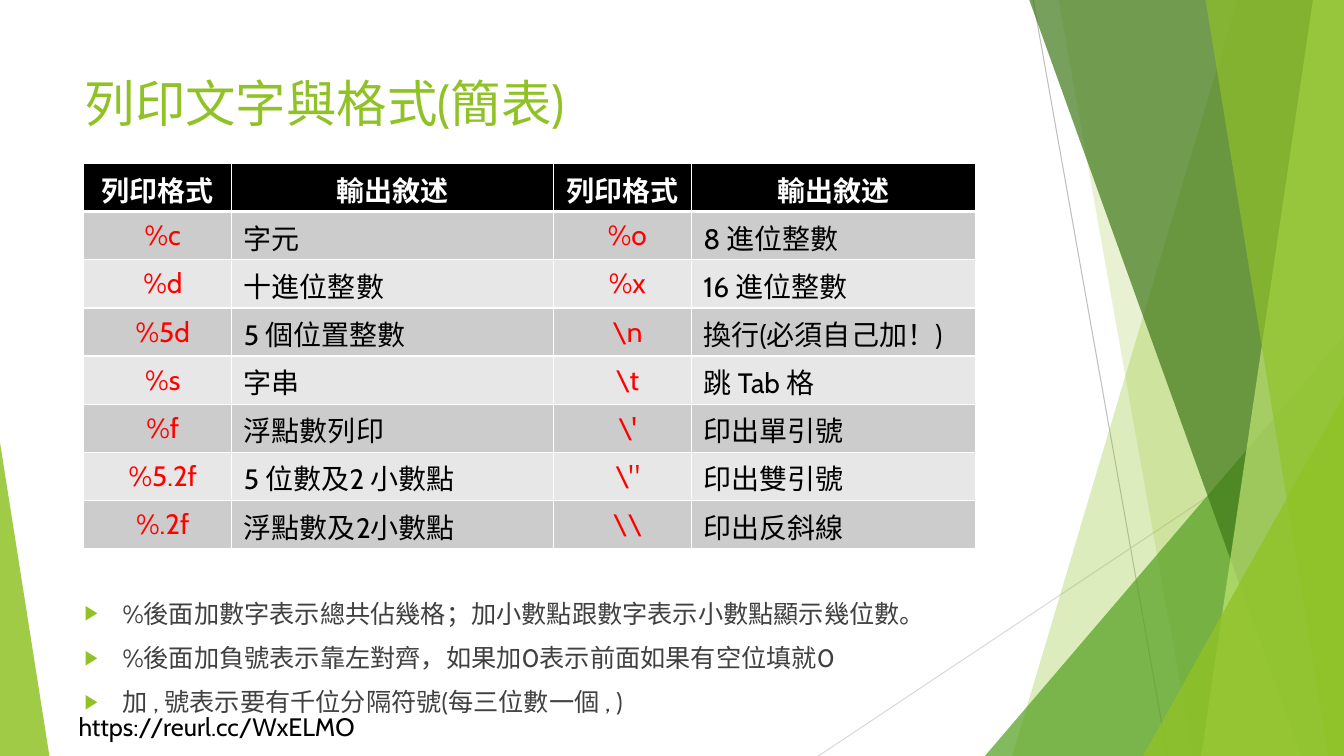
from dataclasses import dataclass

from lxml.etree import SubElement
from pptx import Presentation
from pptx.dml.color import RGBColor
from pptx.enum.shapes import MSO_CONNECTOR, MSO_SHAPE
from pptx.enum.text import MSO_ANCHOR, MSO_AUTO_SIZE, PP_ALIGN
from pptx.oxml.ns import qn
from pptx.util import Pt


@dataclass(frozen=True)
class Theme:
    font: str = "Cabin"
    green: str = "90C226"
    leaf: str = "54A021"
    dark: str = "3F7819"
    lime: str = "C0E474"
    black: str = "000000"
    white: str = "FFFFFF"
    code: str = "FF0000"
    text: str = "404040"
    bands: tuple = ("CCCCCC", "E7E7E7")
    rules: tuple = ("BFBFBF", "D9D9D9")
    title: int = 36
    cell: int = 20
    body: int = 18


THEME = Theme()
TOP, RIGHT, BOTTOM = -0.72, 960, 540

HEAD = ["列印格式", "輸出敘述"] * 2
ROWS = [
    ["%c", "字元", "%o", "8 進位整數"],
    ["%d", "十進位整數", "%x", "16 進位整數"],
    ["%5d", "5 個位置整數", r"\n", "換行(必須自己加！)"],
    ["%s", "字串", r"\t", "跳 Tab 格"],
    ["%f", "浮點數列印", r"\'", "印出單引號"],
    ["%5.2f", "5 位數及2 小數點", r"\"", "印出雙引號"],
    ["%.2f", "浮點數及2小數點", r"\\", "印出反斜線"],
]
NOTES = [
    "%後面加數字表示總共佔幾格；加小數點跟數字表示小數點顯示幾位數。",
    "%後面加負號表示靠左對齊，如果加0表示前面如果有空位填就0",
    "加 , 號表示要有千位分隔符號(每三位數一個 , )",
]


def add_run(para, text, size, color, bold=False):
    run = para.add_run()
    run.text = text
    font = run.font
    font.name, font.size, font.bold = THEME.font, Pt(size), bold
    font.color.rgb = RGBColor.from_string(color)


def add_rule(slide, start, end, color):
    line = slide.shapes.add_connector(
        MSO_CONNECTOR.STRAIGHT, *map(Pt, start + end))
    line.line.color.rgb = RGBColor.from_string(color)
    line.line.width = Pt(0.75)
    SubElement(line.element.spPr, qn("a:effectLst"))


def tint(shape, color, alpha):
    """Give a shape a see-through fill, alpha in percent, and no line."""
    shape.shadow.inherit = False
    shape.line.fill.background()
    shape.fill.solid()
    shape.fill.fore_color.rgb = RGBColor.from_string(color)
    mark = shape.element.spPr.find(".//" + qn("a:srgbClr"))
    SubElement(mark, qn("a:alpha"), val=str(alpha * 1000))


def add_band(slide, top, foot, color, alpha):
    """Fill from a slanted left edge to the right side of the slide."""
    form = slide.shapes.build_freeform(Pt(top), Pt(TOP), scale=1.0)
    ends = [(RIGHT, TOP), (RIGHT, BOTTOM), (foot, BOTTOM)]
    form.add_line_segments([(Pt(x), Pt(y)) for x, y in ends])
    tint(form.convert_to_shape(), color, alpha)


def add_wedge(slide, left, top, width, apex, color, alpha):
    shape = slide.shapes.add_shape(
        MSO_SHAPE.ISOSCELES_TRIANGLE,
        Pt(left), Pt(top), Pt(width), Pt(BOTTOM - top))
    shape.adjustments[0] = apex
    tint(shape, color, alpha)


def add_decor(slide):
    add_rule(slide, (738, 0), (834, BOTTOM), THEME.rules[0])
    add_rule(slide, (RIGHT, 290), (584.6, BOTTOM), THEME.rules[1])
    add_band(slide, 884, 723, THEME.green, 30)
    add_band(slide, 756, 852, THEME.green, 20)
    add_wedge(slide, 703.5, 240, 256.5, 1, THEME.leaf, 72)
    add_band(slide, 735, 929.5, THEME.dark, 70)
    add_band(slide, 938, 858, THEME.lime, 70)
    add_band(slide, 861, 949, THEME.green, 65)
    add_wedge(slide, 816.5, 283, 143.5, 1, THEME.green, 80)
    add_wedge(slide, 0, 316, 35.3, 0, THEME.green, 85)


def place(shape, left, top, width, height):
    shape.left, shape.top = Pt(left), Pt(top)
    shape.width, shape.height = Pt(width), Pt(height)
    frame = shape.text_frame
    frame.auto_size = MSO_AUTO_SIZE.NONE
    frame.word_wrap = True
    frame.vertical_anchor = MSO_ANCHOR.TOP
    return frame


def set_title(slide, text):
    frame = place(slide.shapes.title, 53.3, 48, 677, 104)
    para = frame.paragraphs[0]
    para.alignment = PP_ALIGN.LEFT
    add_run(para, text, THEME.title, THEME.green)


def add_bullet(para):
    props = para._p.get_or_add_pPr()
    props.set("marL", str(Pt(27)))
    props.set("indent", str(Pt(-27)))
    color = SubElement(props, qn("a:buClr"))
    SubElement(color, qn("a:srgbClr"), val=THEME.green)
    SubElement(props, qn("a:buSzPct"), val="80000")
    SubElement(props, qn("a:buFont"), typeface="Arial")
    SubElement(props, qn("a:buChar"), char="▶")


def set_notes(slide, notes):
    frame = place(slide.placeholders[1], 53.3, 423.4, 677, 95)
    for i, note in enumerate(notes):
        para = frame.add_paragraph() if i else frame.paragraphs[0]
        add_bullet(para)
        para.space_before = Pt(10 if i else 0)
        add_run(para, note, THEME.body, THEME.text)


def add_link(slide, text):
    box = slide.shapes.add_textbox(Pt(49), Pt(504.7), Pt(224.6), Pt(28.8))
    box.text_frame.word_wrap = False
    add_run(box.text_frame.paragraphs[0], text, THEME.body, THEME.black)


def set_edge(cell, tag, width):
    props = cell._tc.get_or_add_tcPr()
    edge = SubElement(props, qn(tag), w=str(Pt(width)))
    fill = SubElement(edge, qn("a:solidFill"))
    SubElement(fill, qn("a:srgbClr"), val=THEME.white)


def set_cell(cell, text, row, col):
    head, code = row == 0, col % 2 == 0
    widths = {"a:lnL": 1, "a:lnR": 1,
              "a:lnT": 3 if row == 1 else 1, "a:lnB": 3 if head else 1}
    for tag, width in widths.items():
        set_edge(cell, tag, width)
    cell.fill.solid()
    cell.fill.fore_color.rgb = RGBColor.from_string(
        THEME.black if head else THEME.bands[(row - 1) % 2])
    cell.margin_left = cell.margin_right = Pt(1.4)
    cell.vertical_anchor = MSO_ANCHOR.MIDDLE
    para = cell.text_frame.paragraphs[0]
    para.alignment = PP_ALIGN.CENTER if head or code else PP_ALIGN.LEFT
    if not head:
        para._p.get_or_add_pPr().set("marL", str(Pt(7.2)))
    color = THEME.white if head else THEME.code if code else THEME.black
    add_run(para, text, THEME.cell, color, head)


def add_grid(slide, rows, widths, left, top, height):
    table = slide.shapes.add_table(
        len(rows), len(widths), Pt(left), Pt(top),
        Pt(sum(widths)), Pt(height * len(rows))).table
    for col, width in zip(table.columns, widths):
        col.width = Pt(width)
    for r, row in enumerate(rows):
        table.rows[r].height = Pt(height)
        for c, text in enumerate(row):
            set_cell(table.cell(r, c), text, r, c)


def main():
    deck = Presentation()
    deck.slide_width, deck.slide_height = Pt(RIGHT), Pt(BOTTOM)
    slide = deck.slides.add_slide(deck.slide_layouts[1])
    add_decor(slide)
    add_link(slide, "https://reurl.cc/WxELMO")
    set_title(slide, "列印文字與格式(簡表)")
    set_notes(slide, NOTES)
    add_grid(slide, [HEAD] + ROWS, [105.8, 229.5, 98.8, 202.8],
             59.8, 116.8, 34.4)
    deck.save("out.pptx")


if __name__ == "__main__":
    main()
